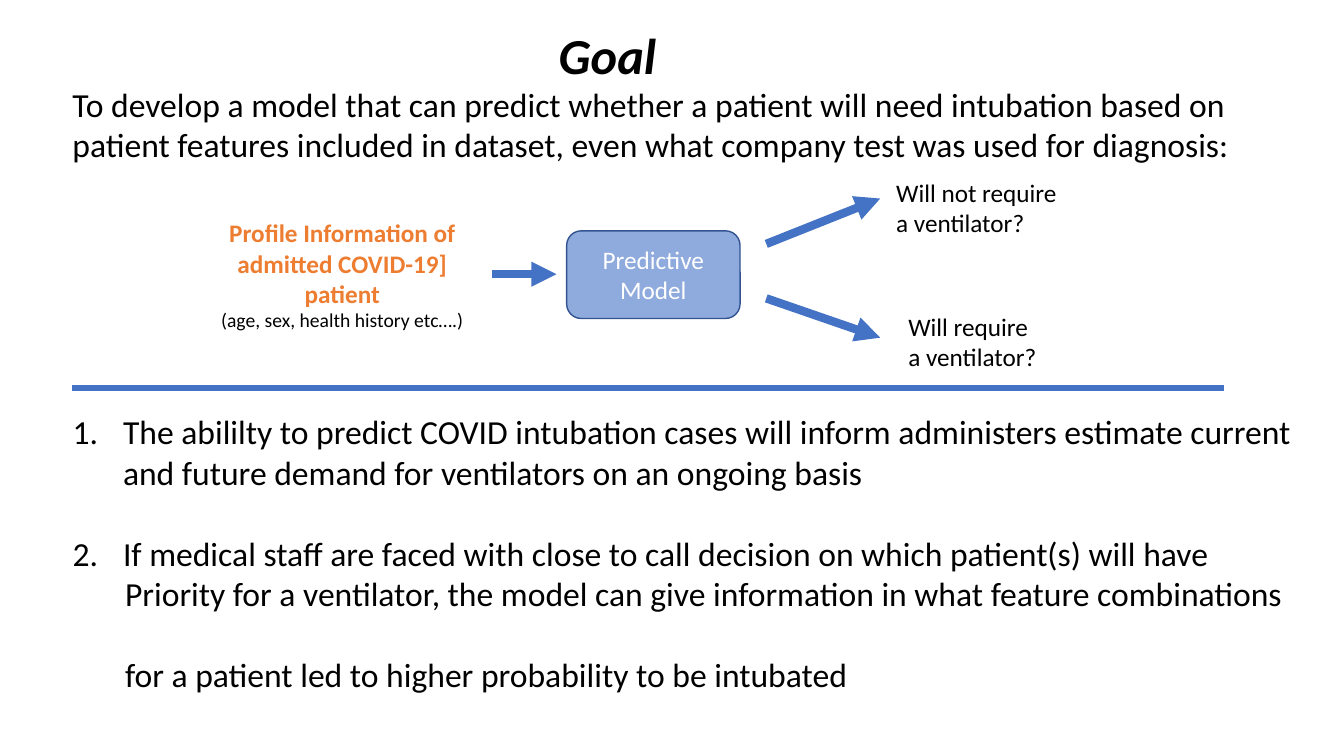
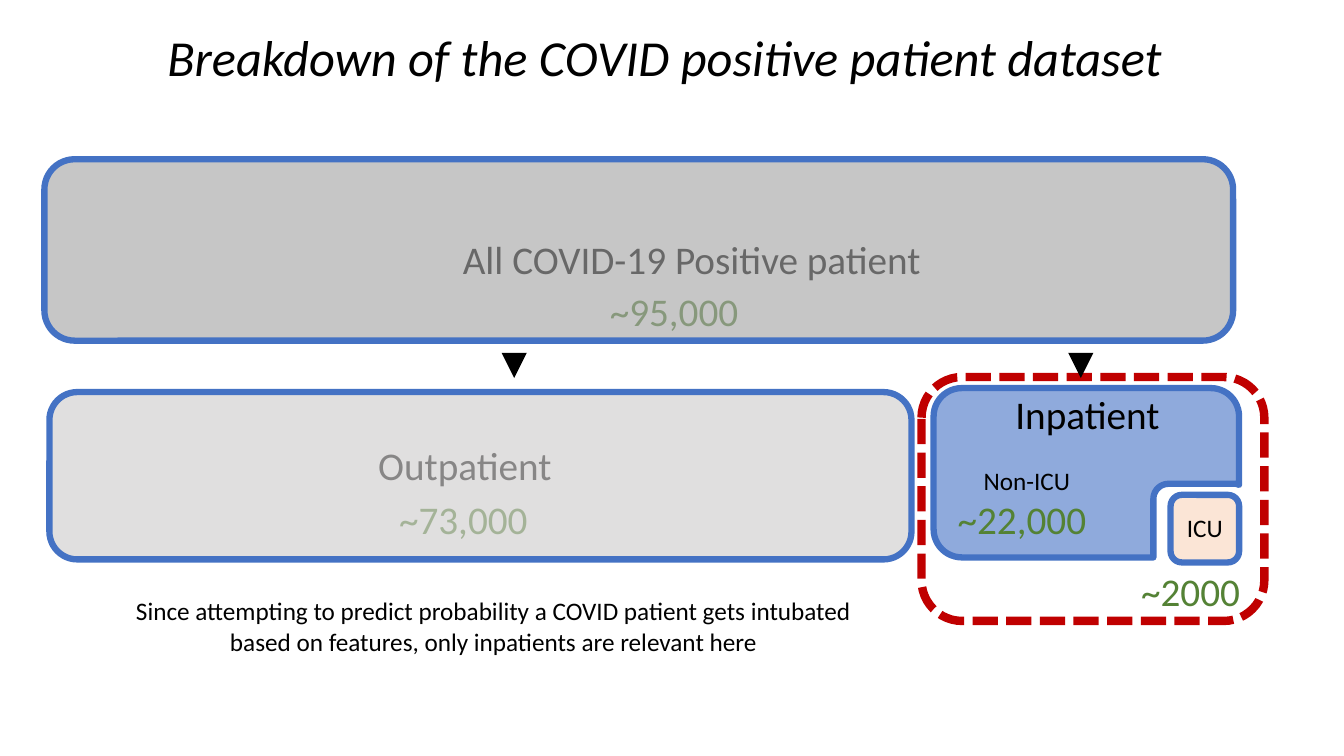
"""Build two slides on predicting ventilator need for COVID patients."""

import math
from dataclasses import dataclass
from typing import Optional

import lxml.etree
import pptx
import pptx.dml.color
import pptx.enum.dml
import pptx.enum.shapes
import pptx.enum.text
import pptx.oxml.ns
import pptx.presentation
import pptx.shapes.autoshape
import pptx.slide
import pptx.text.text
import pptx.util

Inches = pptx.util.Inches
Pt = pptx.util.Pt
RGBColor = pptx.dml.color.RGBColor
Align = pptx.enum.text.PP_ALIGN
Point = tuple[float, float]

FONT = "Calibri"
BLACK = RGBColor(0x00, 0x00, 0x00)
WHITE = RGBColor(0xFF, 0xFF, 0xFF)
BLUE = RGBColor(0x44, 0x72, 0xC4)
DARK_BLUE = RGBColor(0x32, 0x54, 0x91)
LIGHT_BLUE = RGBColor(0x8F, 0xAA, 0xDC)
ORANGE = RGBColor(0xED, 0x7D, 0x31)
PEACH = RGBColor(0xFB, 0xE5, 0xD6)
GREEN = RGBColor(0x54, 0x82, 0x35)
RED = RGBColor(0xC0, 0x00, 0x00)
GRAY = RGBColor(0xA6, 0xA6, 0xA6)
LIGHT_GRAY = RGBColor(0xD0, 0xCE, 0xCE)
TITLE_SIZE, BODY_SIZE, FIGURE_SIZE, LABEL_SIZE, DETAIL_SIZE = 36, 24, 28, 18, 14
OUTLINE_WIDTH, ARROW_WIDTH = 4.5, 6


@dataclass(frozen=True)
class Box:
    """Position and size in inches."""

    left: float
    top: float
    width: float
    height: float

    def lengths(self) -> tuple[pptx.util.Length, ...]:
        """Return the four values as lengths."""
        return tuple(Inches(value) for value in (self.left, self.top, self.width, self.height))


@dataclass(frozen=True)
class Label:
    """A text box with one style."""

    text: str
    box: Box
    size: float = LABEL_SIZE
    color: RGBColor = BLACK
    align: Align = Align.LEFT
    wrap: bool = False


@dataclass(frozen=True)
class Panel:
    """A rounded rectangle."""

    box: Box
    fill: Optional[RGBColor]
    line: RGBColor = BLUE
    width: float = OUTLINE_WIDTH
    opacity: int = 100
    dashed: bool = False


@dataclass(frozen=True)
class Line:
    """A straight line, with an arrowhead or without."""

    start: Point
    end: Point
    color: RGBColor = BLUE
    width: float = ARROW_WIDTH
    arrow: bool = True


@dataclass(frozen=True)
class ListItem:
    """A list paragraph; one without a number continues the item above."""

    text: str
    number: Optional[int] = None
    gap: float = 0


GOAL_LABELS = (
    Label("To develop a model that can predict whether a patient will need intubation based on\n"
          "patient features included in dataset, even what company test was used for diagnosis:",
          Box(0.62, 0.78, 12.47, 0.91), BODY_SIZE, wrap=True),
    Label("Will not require\na ventilator?", Box(8.79, 1.71, 1.87, 0.71)),
    Label("Will require\na ventilator?", Box(8.91, 3.04, 1.75, 0.71), wrap=True),
)
PROFILE_LABEL = Label(
    "Profile Information of\nadmitted COVID-19]\npatient\n(age, sex, health history etc….)",
    Box(1.68, 2.11, 3.43, 1.25), color=ORANGE, align=Align.CENTER, wrap=True)
GOAL_LINES = (
    Line((7.6, 2.42), (8.73, 1.97)),
    Line((7.6, 2.96), (8.73, 3.35)),
    Line((4.88, 2.72), (5.52, 2.72)),
    Line((0.71, 3.85), (12.14, 3.85), width=OUTLINE_WIDTH, arrow=False),
)
BENEFITS = (
    ListItem("The abililty to predict COVID intubation cases will inform administers estimate "
             "current and future demand for ventilators on an ongoing basis", 1),
    ListItem("If medical staff are faced with close to call decision on which patient(s) will have",
             2, 29),
    ListItem("Priority for a ventilator, the model can give information in what feature combinations"),
    ListItem("for a patient led to higher probability to be intubated", gap=29),
)
DATASET_LABELS = (
    Label("All COVID-19 Positive patient", Box(4.46, 2.29, 4.8, 0.57), FIGURE_SIZE, align=Align.CENTER),
    Label("~95,000", Box(5.95, 2.8, 1.5, 0.57), FIGURE_SIZE, GREEN),
    Label("Outpatient", Box(3.64, 4.33, 1.94, 0.57), FIGURE_SIZE, align=Align.CENTER),
    Label("~73,000", Box(3.86, 4.86, 1.5, 0.57), FIGURE_SIZE, GREEN),
    Label("Inpatient", Box(9.96, 3.82, 1.65, 0.57), FIGURE_SIZE, align=Align.CENTER),
    Label("Non-ICU", Box(9.65, 4.57, 1.07, 0.4), align=Align.CENTER),
    Label("~22,000", Box(9.4, 4.86, 1.5, 0.57), FIGURE_SIZE, GREEN),
    Label("~2000", Box(11.22, 5.58, 1.2, 0.57), FIGURE_SIZE, GREEN),
    Label("ICU", Box(11.67, 5.03, 0.56, 0.4), align=Align.CENTER),
    Label("Since attempting to predict probability a COVID patient gets intubated\n"
          "based on features, only inpatients are relevant here",
          Box(1.23, 5.86, 7.33, 0.71), align=Align.CENTER),
)
INPATIENT_PANELS = (
    Panel(Box(9.14, 3.74, 3.4, 2.42), None, RED, ARROW_WIDTH, dashed=True),
    Panel(Box(11.61, 4.91, 0.68, 0.67), PEACH),
)
COVER_PANELS = (
    Panel(Box(0.44, 1.58, 11.79, 1.8), GRAY, opacity=63),
    Panel(Box(0.49, 3.89, 8.55, 1.66), LIGHT_GRAY, opacity=65),
)
SPLIT_CENTERS = (5.1, 10.72)


def append_element(parent: lxml.etree._Element, tag: str, **attributes: str) -> None:
    """Append a drawing element to its parent."""
    lxml.etree.SubElement(parent, pptx.oxml.ns.qn(tag), attributes)


def style_paragraph(paragraph: pptx.text.text._Paragraph, size: float, color: RGBColor,
                    bold: bool = False, italic: bool = False) -> None:
    """Format all runs of a paragraph."""
    for run in paragraph.runs:
        run.font.name = FONT
        run.font.size = Pt(size)
        run.font.color.rgb = color
        run.font.bold = bold
        run.font.italic = italic


def place(shape: pptx.shapes.autoshape.Shape, box: Box) -> None:
    """Move and size a shape."""
    shape.left, shape.top, shape.width, shape.height = box.lengths()


def set_title(slide: pptx.slide.Slide, text: str, box: Box, bold: bool = False) -> None:
    """Fill the title placeholder."""
    title = slide.shapes.title
    place(title, box)
    title.text_frame.text = text
    title.text_frame.word_wrap = False
    title.text_frame.auto_size = pptx.enum.text.MSO_AUTO_SIZE.SHAPE_TO_FIT_TEXT
    title.text_frame.vertical_anchor = pptx.enum.text.MSO_ANCHOR.TOP
    paragraph = title.text_frame.paragraphs[0]
    paragraph.alignment = Align.LEFT
    style_paragraph(paragraph, TITLE_SIZE, BLACK, bold, italic=True)


def set_list(slide: pptx.slide.Slide, items: tuple[ListItem, ...], box: Box) -> None:
    """Fill the body placeholder with a numbered list."""
    body = slide.placeholders[1]
    place(body, box)
    frame = body.text_frame
    frame.text = "\n".join(item.text for item in items)
    frame.auto_size = pptx.enum.text.MSO_AUTO_SIZE.NONE
    for paragraph, item in zip(frame.paragraphs, items):
        properties = paragraph._p.get_or_add_pPr()
        if item.number:
            properties.set("marL", str(Inches(0.5)))
            properties.set("indent", str(Inches(-0.5)))
            append_element(properties, "a:buFont", typeface=FONT)
            append_element(properties, "a:buAutoNum", type="arabicPeriod", startAt=str(item.number))
        else:
            properties.set("marL", str(Inches(0.52)))
            properties.set("indent", "0")
            append_element(properties, "a:buNone")
        paragraph.space_before = Pt(item.gap)
        style_paragraph(paragraph, BODY_SIZE, BLACK)


def add_label(slide: pptx.slide.Slide, label: Label) -> pptx.text.text.TextFrame:
    """Draw a text box and return its frame."""
    frame = slide.shapes.add_textbox(*label.box.lengths()).text_frame
    frame.text = label.text
    frame.word_wrap = label.wrap
    frame.auto_size = pptx.enum.text.MSO_AUTO_SIZE.SHAPE_TO_FIT_TEXT
    for paragraph in frame.paragraphs:
        paragraph.alignment = label.align
        style_paragraph(paragraph, label.size, label.color)
    return frame


def style_outline(shape: pptx.shapes.autoshape.Shape, color: RGBColor, width: float) -> None:
    """Set the outline and drop the shadow."""
    shape.shadow.inherit = False
    shape.line.color.rgb = color
    shape.line.width = Pt(width)


def add_panel(slide: pptx.slide.Slide, panel: Panel) -> pptx.shapes.autoshape.Shape:
    """Draw a rounded rectangle."""
    shape = slide.shapes.add_shape(
        pptx.enum.shapes.MSO_SHAPE.ROUNDED_RECTANGLE, *panel.box.lengths())
    style_outline(shape, panel.line, panel.width)
    if panel.dashed:
        shape.line.dash_style = pptx.enum.dml.MSO_LINE.SQUARE_DOT
    if panel.fill is None:
        shape.fill.background()
        return shape
    shape.fill.solid()
    shape.fill.fore_color.rgb = panel.fill
    if panel.opacity < 100:
        color = shape.element.spPr.find(pptx.oxml.ns.qn("a:solidFill"))[0]
        append_element(color, "a:alpha", val=str(panel.opacity * 1000))
    return shape


def add_line(slide: pptx.slide.Slide, line: Line) -> None:
    """Draw a straight connector."""
    ends = (Inches(value) for value in (*line.start, *line.end))
    connector = slide.shapes.add_connector(pptx.enum.shapes.MSO_CONNECTOR.STRAIGHT, *ends)
    connector.line.color.rgb = line.color
    connector.line.width = Pt(line.width)
    properties = connector.element.spPr
    if line.arrow:
        append_element(properties.find(pptx.oxml.ns.qn("a:ln")), "a:tailEnd", type="triangle")
    append_element(properties, "a:effectLst")


def arc(center: Point, radius: float, start: int, sweep: int) -> list[Point]:
    """Return points along an arc, with angles in degrees clockwise from the right."""
    angles = [math.radians(start + sweep * step / 12) for step in range(13)]
    return [(center[0] + radius * math.cos(angle), center[1] + radius * math.sin(angle))
            for angle in angles]


def add_inpatient_outline(slide: pptx.slide.Slide) -> None:
    """Draw the rounded inpatient area with a notch for the ICU."""
    points = [
        *arc((12.01, 4.13), 0.28, -90, 90), (12.29, 4.81), (12.26, 4.8),
        *arc((11.59, 4.95), 0.15, -90, -90), (11.44, 5.53),
        *arc((9.54, 5.25), 0.28, 90, 90),
        *arc((9.54, 4.13), 0.28, 180, 90),
    ]
    corners = [(Inches(x), Inches(y)) for x, y in points]
    builder = slide.shapes.build_freeform(*corners[0])
    builder.add_line_segments(corners[1:], close=True)
    shape = builder.convert_to_shape()
    style_outline(shape, BLUE, OUTLINE_WIDTH)
    shape.fill.solid()
    shape.fill.fore_color.rgb = LIGHT_BLUE


def build_goal(presentation: pptx.presentation.Presentation) -> None:
    """Build the goal slide."""
    slide = presentation.slides.add_slide(presentation.slide_layouts[1])
    set_title(slide, "Goal", Box(5.44, 0.19, 1.18, 0.71), bold=True)
    set_list(slide, BENEFITS, Box(0.62, 4.03, 12.47, 2.91))
    for label in GOAL_LABELS:
        add_label(slide, label)
    *headings, detail = add_label(slide, PROFILE_LABEL).paragraphs
    for heading in headings:
        style_paragraph(heading, LABEL_SIZE, ORANGE, bold=True)
    style_paragraph(detail, DETAIL_SIZE, BLACK)
    model = add_panel(slide, Panel(Box(5.62, 2.29, 1.72, 0.87), LIGHT_BLUE, DARK_BLUE, 1))
    model.text_frame.text = "Predictive\nModel"
    model.text_frame.vertical_anchor = pptx.enum.text.MSO_ANCHOR.MIDDLE
    for paragraph in model.text_frame.paragraphs:
        paragraph.alignment = Align.CENTER
        style_paragraph(paragraph, LABEL_SIZE, WHITE)
    for line in GOAL_LINES:
        add_line(slide, line)


def build_dataset(presentation: pptx.presentation.Presentation) -> None:
    """Build the dataset breakdown slide."""
    slide = presentation.slides.add_slide(presentation.slide_layouts[5])
    set_title(slide, "Breakdown of the COVID positive patient dataset", Box(1.56, 0.21, 10.2, 0.71))
    add_inpatient_outline(slide)
    for panel in INPATIENT_PANELS:
        add_panel(slide, panel)
    for label in DATASET_LABELS:
        add_label(slide, label)
    for center in SPLIT_CENTERS:
        add_line(slide, Line((center, 3.51), (center, 3.75), BLACK))
    for panel in COVER_PANELS:
        add_panel(slide, panel)


def main() -> None:
    """Build and save the presentation."""
    presentation = pptx.Presentation()
    presentation.slide_width, presentation.slide_height = Inches(13.33), Inches(7.5)
    build_goal(presentation)
    build_dataset(presentation)
    presentation.save("out.pptx")


if __name__ == "__main__":
    main()
